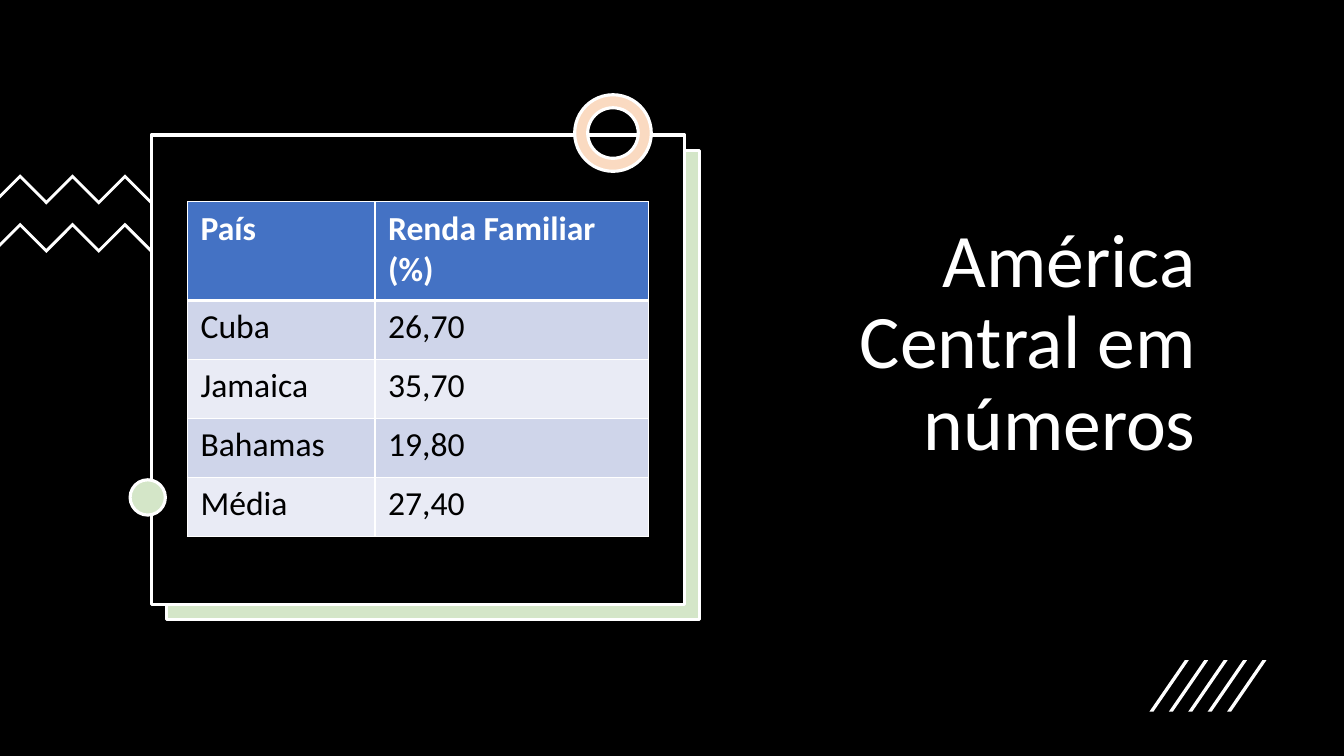
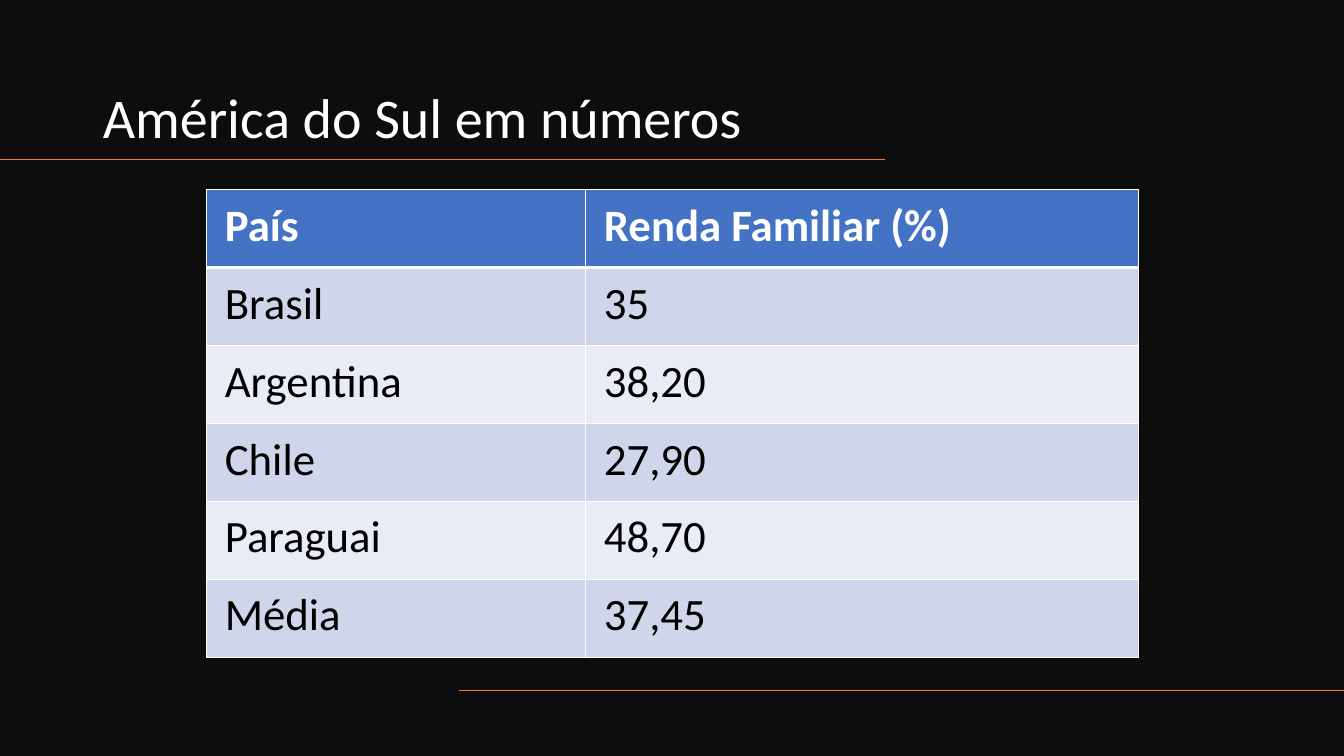
from dataclasses import dataclass

from lxml import etree
from pptx import Presentation
from pptx.dml.color import RGBColor
from pptx.enum.shapes import MSO_CONNECTOR, MSO_SHAPE
from pptx.enum.text import MSO_ANCHOR, MSO_AUTO_SIZE, PP_ALIGN
from pptx.oxml.ns import qn
from pptx.util import Inches, Pt

LEFT, RIGHT = PP_ALIGN.LEFT, PP_ALIGN.RIGHT
BOTTOM = MSO_ANCHOR.BOTTOM
NO_FIT = MSO_AUTO_SIZE.NONE
RECTANGLE, OVAL, DONUT = MSO_SHAPE.RECTANGLE, MSO_SHAPE.OVAL, MSO_SHAPE.DONUT
STRAIGHT = MSO_CONNECTOR.STRAIGHT
TITLE_ONLY = 5


@dataclass(frozen=True)
class Theme:
    font: str = "Calibri"
    black: str = "000000"
    charcoal: str = "0D0D0D"
    white: str = "FFFFFF"
    green: str = "D4E6C8"
    peach: str = "FADAC1"
    orange: str = "ED7D31"
    header: str = "4472C4"
    bands: tuple = ("CFD5EA", "E9EBF5")
    large_title: int = 54
    title: int = 40
    large_cell: int = 32
    cell: int = 24
    outline: float = 2.25
    rule: float = 1
    header_rule: float = 3


def rgb(color):
    return RGBColor.from_string(color)


class Deck:
    """Holds the theme, the presentation and the current slide."""

    def __init__(self, theme):
        self.theme = theme
        self.deck = Presentation()
        self.deck.slide_width = Inches(13.33)
        self.deck.slide_height = Inches(7.5)
        self.page = None

    def add_page(self, background):
        self.page = self.deck.slides.add_slide(self.deck.slide_layouts[TITLE_ONLY])
        fill = self.page.background.fill
        fill.solid()
        fill.fore_color.rgb = rgb(background)

    def style_text(self, para, size, color, bold=False):
        font = para.font
        font.name, font.size, font.bold = self.theme.font, Pt(size), bold
        font.color.rgb = rgb(color)

    def title(self, text, left, top, width, height, size, align=LEFT):
        box = self.page.shapes.title
        box.left, box.top = Inches(left), Inches(top)
        box.width, box.height = Inches(width), Inches(height)
        frame = box.text_frame
        frame.text = text
        frame.word_wrap = True
        frame.auto_size = NO_FIT
        frame.vertical_anchor = BOTTOM
        para = frame.paragraphs[0]
        para.alignment = align
        para.line_spacing = 0.9
        self.style_text(para, size, self.theme.white)

    def outlined(self, kind, left, top, width, height, color):
        shape = self.page.shapes.add_shape(
            kind, Inches(left), Inches(top), Inches(width), Inches(height))
        shape.shadow.inherit = False
        shape.fill.solid()
        shape.fill.fore_color.rgb = rgb(color)
        shape.line.color.rgb = rgb(self.theme.white)
        shape.line.width = Pt(self.theme.outline)
        return shape

    def polygon(self, points):
        points = [(Inches(x), Inches(y)) for x, y in points]
        builder = self.page.shapes.build_freeform(*points[0])
        builder.add_line_segments(points[1:], close=True)
        shape = builder.convert_to_shape()
        shape.shadow.inherit = False
        shape.fill.solid()
        shape.fill.fore_color.rgb = rgb(self.theme.white)
        shape.line.fill.background()

    def zigzag(self, top):
        ridge = [(0.2 + 0.26 * i, top + 0.26 * (i % 2)) for i in range(7)]
        underside = [(x, y + 0.04) for x, y in reversed(ridge)]
        right_end = [(2.04, top + 0.27), (2.01, top + 0.29)]
        left_end = [(0, top + 0.24), (0, top + 0.2)]
        self.polygon(ridge + right_end + underside + left_end)

    def slashes(self, first, last, top, bottom, count):
        step = (last - first) / (count - 1)
        for i in range(count):
            x = first + step * i
            self.polygon([(x + 0.04, bottom), (x, bottom),
                          (x + 0.35, top), (x + 0.39, top)])

    def rule(self, start, end, y):
        line = self.page.shapes.add_connector(
            STRAIGHT, Inches(start), Inches(y), Inches(end), Inches(y))
        line.line.color.rgb = rgb(self.theme.orange)
        line.line.width = Pt(self.theme.rule)
        etree.SubElement(line._element.spPr, qn("a:effectLst"))

    def cell_borders(self, cell, top, bottom):
        properties = cell._tc.get_or_add_tcPr()
        thin = self.theme.rule
        sides = (("lnL", thin), ("lnR", thin), ("lnT", top), ("lnB", bottom))
        for position, (side, width) in enumerate(sides):
            border = etree.Element(qn(f"a:{side}"), w=str(Pt(width)))
            fill = etree.SubElement(border, qn("a:solidFill"))
            etree.SubElement(fill, qn("a:srgbClr"), val=self.theme.white)
            properties.insert(position, border)

    def table(self, rows, left, top, columns, heights, size, inset):
        theme = self.theme
        table = self.page.shapes.add_table(
            len(rows), len(columns), Inches(left), Inches(top),
            Inches(sum(columns)), Inches(sum(heights))).table
        table.horz_banding = False
        for column, width in zip(table.columns, columns):
            column.width = Inches(width)
        for r, (values, height) in enumerate(zip(rows, heights)):
            table.rows[r].height = Inches(height)
            is_header = r == 0
            fill = theme.header if is_header else theme.bands[(r - 1) % 2]
            color = theme.white if is_header else theme.black
            above = theme.header_rule if r == 1 else theme.rule
            below = theme.header_rule if is_header else theme.rule
            for c, value in enumerate(values):
                cell = table.cell(r, c)
                cell.text = value
                cell.margin_left = cell.margin_right = Inches(inset)
                cell.margin_top = cell.margin_bottom = Inches(inset / 2)
                cell.fill.solid()
                cell.fill.fore_color.rgb = rgb(fill)
                self.style_text(cell.text_frame.paragraphs[0], size, color, is_header)
                self.cell_borders(cell, above, below)

    def save(self):
        self.deck.save("out.pptx")


HEADINGS = ("País", "Renda Familiar (%)")
CENTRAL_AMERICA = [HEADINGS, ("Cuba", "26,70"), ("Jamaica", "35,70"),
                   ("Bahamas", "19,80"), ("Média", "27,40")]
SOUTH_AMERICA = [HEADINGS, ("Brasil", "35"), ("Argentina", "38,20"),
                 ("Chile", "27,90"), ("Paraguai", "48,70"), ("Média", "37,45")]


def central_america(deck):
    theme = deck.theme
    deck.add_page(theme.black)
    deck.title("América Central em números", 7.36, 0.75, 4.6, 3.93,
               theme.large_title, RIGHT)

    # Framed panel with its offset backing and zigzags
    deck.outlined(RECTANGLE, 1.65, 1.49, 5.29, 4.66, theme.green)
    for top in (1.73, 2.21):
        deck.zigzag(top)
    deck.outlined(RECTANGLE, 1.5, 1.34, 5.29, 4.66, theme.black)

    # Ornaments
    deck.outlined(OVAL, 1.29, 4.76, 0.35, 0.35, theme.green)
    ring = deck.outlined(DONUT, 5.7, 0.94, 0.76, 0.76, theme.peach)
    ring.adjustments[0] = 0.17
    deck.slashes(11.4, 12.17, 6.55, 7.06, count=5)

    # Household income
    deck.table(CENTRAL_AMERICA, 1.86, 2, (1.86, 2.71), [0.98] + [0.585] * 4,
               theme.cell, inset=0.13)


def south_america(deck):
    theme = deck.theme
    deck.add_page(theme.charcoal)
    deck.title("América do Sul em números", 0.92, 0.42, 7.86, 1.12, theme.title)

    # Rules above and below the table
    deck.rule(8.78, 0, 1.58)
    deck.rule(13.33, 4.55, 6.85)

    # Household income
    deck.table(SOUTH_AMERICA, 2.05, 1.88, (3.76, 5.48), [4.64 / 6] * 6,
               theme.large_cell, inset=0.18)


def main():
    deck = Deck(Theme())
    central_america(deck)
    south_america(deck)
    deck.save()


if __name__ == "__main__":
    main()
